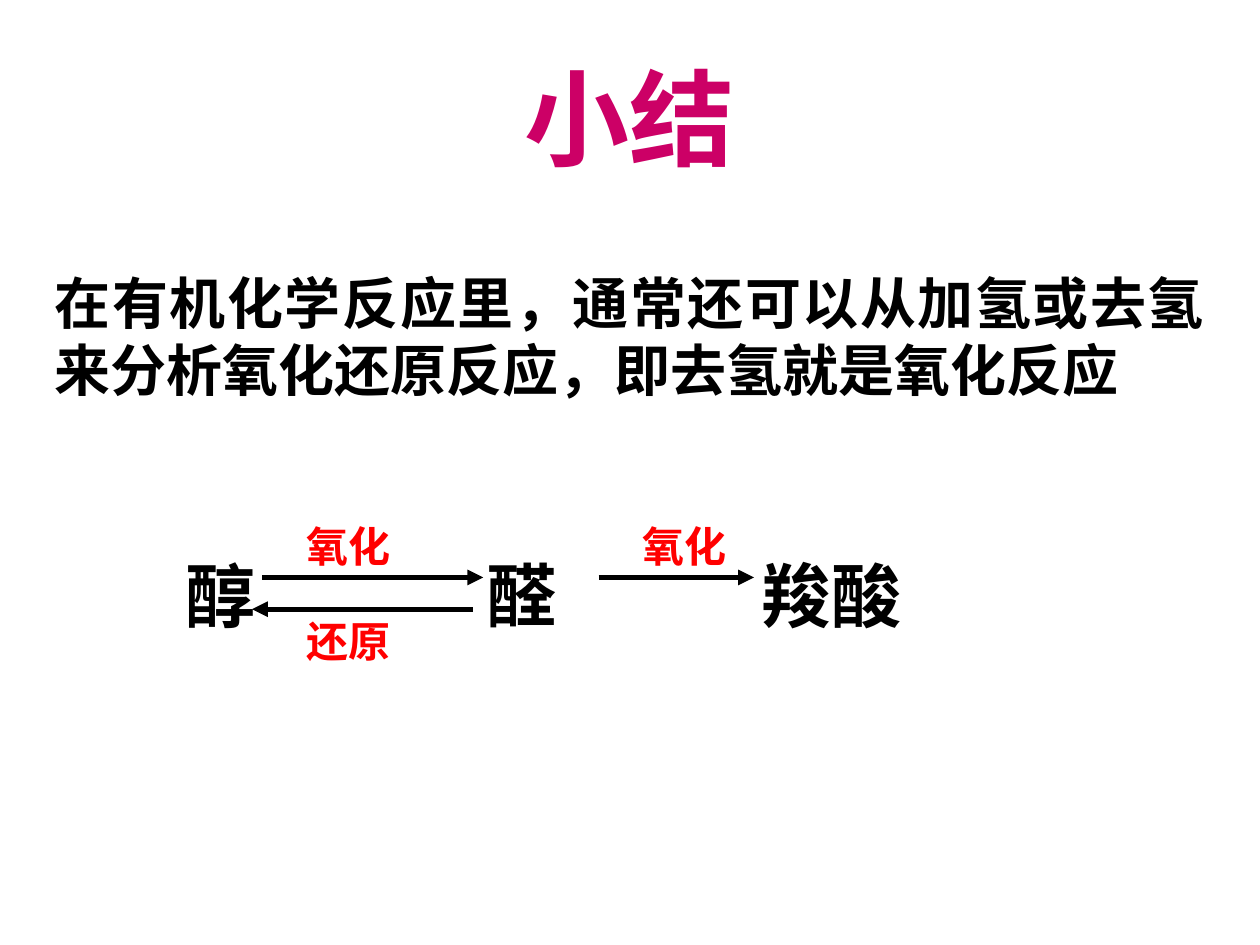
from dataclasses import dataclass

from lxml import etree
from pptx import Presentation
from pptx.dml.color import RGBColor
from pptx.enum.shapes import MSO_CONNECTOR
from pptx.enum.text import MSO_ANCHOR, PP_ALIGN
from pptx.oxml.ns import qn
from pptx.slide import Slide
from pptx.text.text import TextFrame
from pptx.util import Cm, Pt

STRAIGHT = MSO_CONNECTOR.STRAIGHT
MIDDLE, TOP = MSO_ANCHOR.MIDDLE, MSO_ANCHOR.TOP
LEFT, CENTER, JUSTIFY = PP_ALIGN.LEFT, PP_ALIGN.CENTER, PP_ALIGN.JUSTIFY


@dataclass(frozen=True)
class Theme:
    head: str = "Arial"
    body: str = "Times New Roman"
    pink: str = "CC0066"
    red: str = "FF0000"
    black: str = "000000"
    title: int = 60
    term: int = 40
    text: int = 32
    label: int = 24
    line: int = 3


@dataclass(frozen=True)
class Style:
    font: str
    size: int
    color: str
    align: PP_ALIGN = LEFT


@dataclass(frozen=True)
class Box:
    left: float
    top: float
    width: float
    height: float


@dataclass(frozen=True)
class Arrow:
    start: float
    end: float
    level: float


@dataclass(frozen=True)
class Label:
    text: str
    box: Box


THEME = Theme()
TITLE = Style(THEME.head, THEME.title, THEME.pink, CENTER)
TEXT = Style(THEME.body, THEME.text, THEME.black, JUSTIFY)
TERM = Style(THEME.body, THEME.term, THEME.black)
LABEL = Style(THEME.body, THEME.label, THEME.red)

TERMS = ("醇", "醛", "羧酸")
STOPS = (6.05, 11.61)
INSET = 2.06
ARROWS = (
    Arrow(5.29, 9.74, 11.64),
    Arrow(9.53, 5.08, 12.28),
    Arrow(12.07, 15.2, 11.64),
)
LABELS = (
    Label("氧化", Box(5.93, 10.37, 2.96, 1.27)),
    Label("还原", Box(5.93, 12.28, 2.96, 1.27)),
    Label("氧化", Box(12.7, 10.37, 2.96, 4.32)),
)


def write(frame: TextFrame, text: str, style: Style) -> None:
    para = frame.paragraphs[0]
    para.alignment = style.align
    run = para.add_run()
    run.text = text
    font = run.font
    font.name = style.font
    font.size = Pt(style.size)
    font.bold = True
    font.color.rgb = RGBColor.from_string(style.color)


def add_text(slide: Slide, box: Box, text: str, style: Style) -> TextFrame:
    shape = slide.shapes.add_textbox(
        Cm(box.left), Cm(box.top), Cm(box.width), Cm(box.height)
    )
    frame = shape.text_frame
    frame.word_wrap = True
    frame.vertical_anchor = TOP
    write(frame, text, style)
    return frame


def add_title(slide: Slide, box: Box, text: str) -> None:
    title = slide.shapes.title
    title.left, title.top = Cm(box.left), Cm(box.top)
    title.width, title.height = Cm(box.width), Cm(box.height)
    title.text_frame.vertical_anchor = MIDDLE
    write(title.text_frame, text, TITLE)


def add_terms(slide: Slide, box: Box) -> None:
    frame = add_text(slide, box, "\t".join(TERMS), TERM)
    frame.margin_left = Cm(INSET)
    props = frame.paragraphs[0]._p.get_or_add_pPr()
    tabs = etree.SubElement(props, qn("a:tabLst"))
    for stop in STOPS:
        etree.SubElement(tabs, qn("a:tab"), pos=str(Cm(stop)), algn="l")


def add_arrow(slide: Slide, arrow: Arrow) -> None:
    level = Cm(arrow.level)
    link = slide.shapes.add_connector(
        STRAIGHT, Cm(arrow.start), level, Cm(arrow.end), level
    )
    link.line.width = Pt(THEME.line)
    link.line.color.rgb = RGBColor.from_string(THEME.black)
    etree.SubElement(link.line._get_or_add_ln(), qn("a:tailEnd"), type="triangle")
    etree.SubElement(link._element.spPr, qn("a:effectLst"))


def main() -> None:
    deck = Presentation()
    deck.slide_width, deck.slide_height = Cm(25.4), Cm(19.05)
    slide = deck.slides.add_slide(deck.slide_layouts[5])
    add_title(slide, Box(1.27, 0.76, 22.86, 3.18), "小结")
    add_text(
        slide,
        Box(0.85, 5.29, 23.7, 2.97),
        "在有机化学反应里，通常还可以从加氢或去氢来分析氧化还原反应，即去氢就是氧化反应",
        TEXT,
    )
    add_terms(slide, Box(1.69, 11.01, 18.84, 1.96))
    for arrow in ARROWS:
        add_arrow(slide, arrow)
    for label in LABELS:
        add_text(slide, label.box, label.text, LABEL)
    deck.save("out.pptx")


if __name__ == "__main__":
    main()
